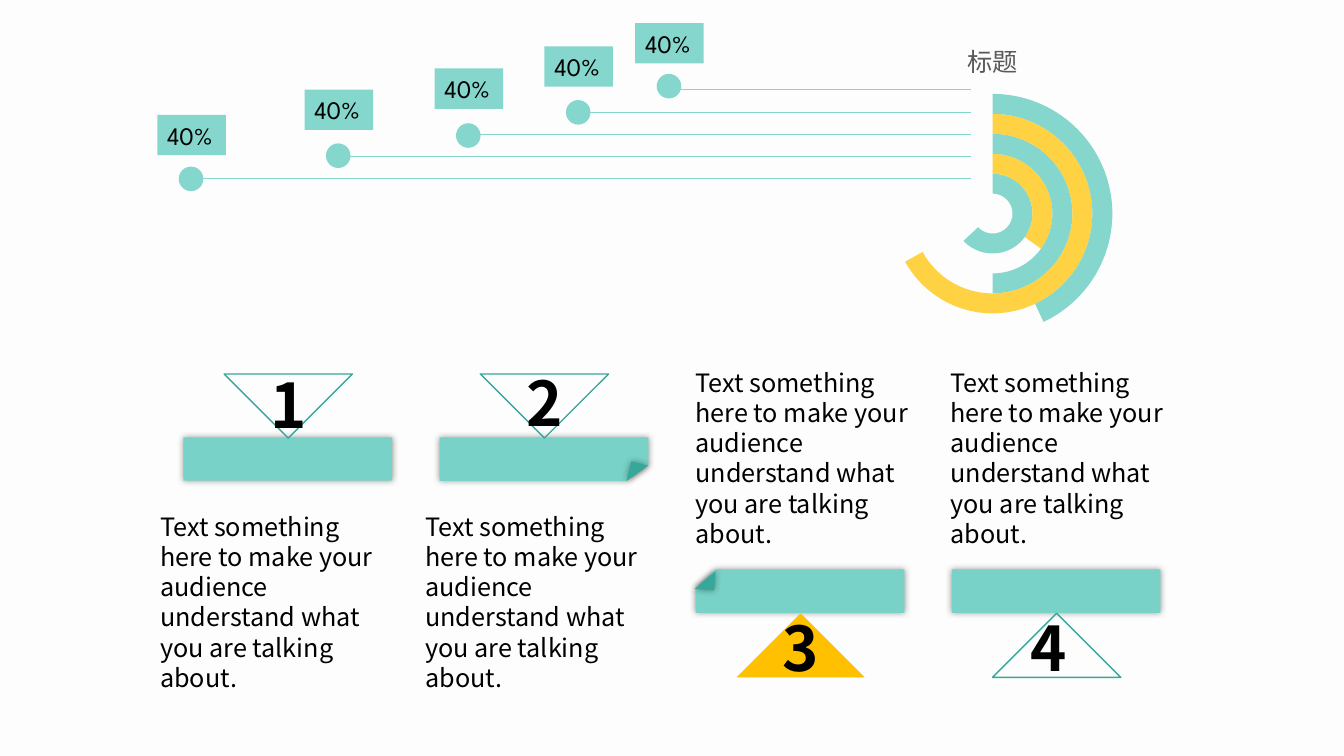
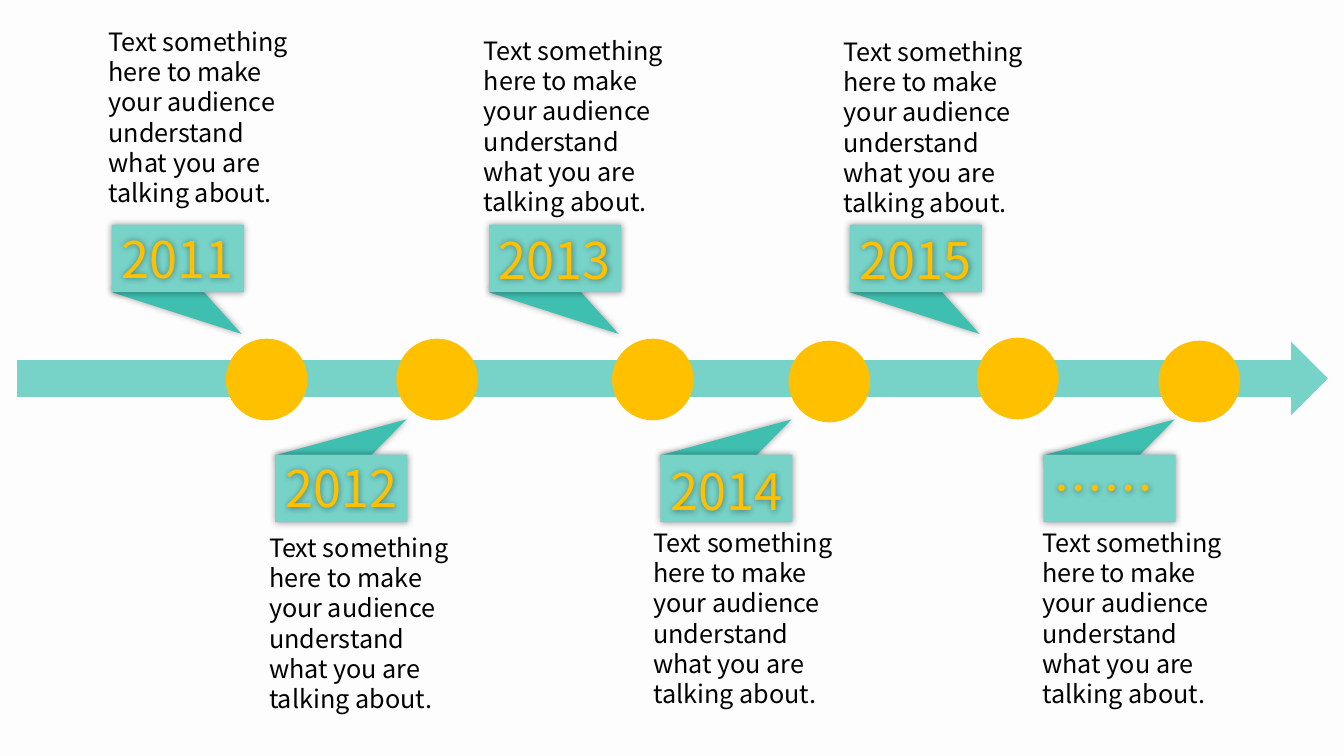
from dataclasses import dataclass

from lxml import etree
from pptx import Presentation
from pptx.chart.data import CategoryChartData
from pptx.dml.color import RGBColor
from pptx.enum.chart import XL_CHART_TYPE
from pptx.enum.shapes import MSO_CONNECTOR, MSO_SHAPE
from pptx.enum.text import MSO_AUTO_SIZE
from pptx.oxml import parse_xml
from pptx.oxml.ns import nsdecls, qn
from pptx.util import Inches, Pt

RECTANGLE = MSO_SHAPE.RECTANGLE
ELLIPSE = MSO_SHAPE.OVAL
RIGHT_ARROW = MSO_SHAPE.RIGHT_ARROW
RIGHT_TRIANGLE = MSO_SHAPE.RIGHT_TRIANGLE
TRIANGLE = MSO_SHAPE.ISOSCELES_TRIANGLE
STRAIGHT = MSO_CONNECTOR.STRAIGHT
DOUGHNUT = XL_CHART_TYPE.DOUGHNUT
FIT_TEXT = MSO_AUTO_SIZE.SHAPE_TO_FIT_TEXT


@dataclass(frozen=True)
class Theme:
    """Colours, fonts and type sizes of the presentation."""
    background: str = "FDFDFD"
    black: str = "000000"
    grey: str = "595959"
    panel: str = "78D2C7"
    fold: str = "37A79A"
    ring: str = "85D7CD"
    ring_accent: str = "FFD243"
    timeline: str = "77D3C8"
    pointer: str = "3FBFB0"
    accent: str = "FFC000"
    text_font: str = "Noto Sans CJK SC"
    label_font: str = "League Spartan"
    chart_font: str = "Calibri"
    body_size: int = 18
    year_size: int = 36
    number_size: int = 44
    chart_size: int = 10
    line_height: float = 1.2


THEME = Theme()
BODY = "Text something here to make your audience understand what you are talking about."


def rgb(value):
    """Turn a hex string into a colour."""
    return RGBColor.from_string(value)


def style_font(font, size, color, name, bold=False):
    """Set the format of a font."""
    font.color.rgb = rgb(color)
    for attribute, value in {"size": Pt(size), "name": name, "bold": bold}.items():
        setattr(font, attribute, value)


def style_shape(shape, fill=None, line=None, shadow=False):
    """Set fill, outline and shadow of a shape."""
    if fill:
        shape.fill.solid()
        shape.fill.fore_color.rgb = rgb(fill)
    else:
        shape.fill.background()
    if line:
        shape.line.color.rgb = rgb(line)
        shape.line.width = Pt(1)
    else:
        shape.line.fill.background()
    shape.shadow.inherit = False
    if shadow:
        effects = shape._element.spPr.find(qn("a:effectLst"))
        effects.append(parse_xml(
            f'<a:outerShdw {nsdecls("a")} blurRad="63500" dist="0" dir="0" algn="ctr" '
            f'rotWithShape="0"><a:srgbClr val="{THEME.black}"><a:alpha val="40000"/>'
            '</a:srgbClr></a:outerShdw>'))


def add_shape(slide, kind, box, rotation=0, **style):
    """Add a preset shape in a box given in inches."""
    shape = slide.shapes.add_shape(kind, *map(Inches, box))
    shape.rotation = rotation
    style_shape(shape, **style)
    return shape


def add_text(slide, box, text, size=THEME.body_size, color=THEME.black,
             name=THEME.text_font, bold=False, wrap=True, **style):
    """Add a text box that grows with its text."""
    shape = slide.shapes.add_textbox(*map(Inches, box))
    style_shape(shape, **style)
    frame = shape.text_frame
    for attribute, value in {"word_wrap": wrap, "auto_size": FIT_TEXT}.items():
        setattr(frame, attribute, value)
    paragraph = frame.paragraphs[0]
    paragraph.line_spacing = Pt(size * THEME.line_height)
    run = paragraph.add_run()
    run.text = text
    style_font(run.font, size, color, name, bold)
    etree.SubElement(run._r.get_or_add_rPr(), qn("a:ea"), typeface=name)


def add_line(slide, start, end, y):
    """Add a thin horizontal leader line."""
    connector = slide.shapes.add_connector(
        STRAIGHT, Inches(start), Inches(y), Inches(end), Inches(y))
    connector.line.color.rgb = rgb(THEME.ring)
    connector.line.width = Pt(0.5)
    etree.SubElement(connector._element.spPr, qn("a:effectLst"))


def set_layout(element, target="", **fractions):
    """Place a chart part by fractions of the chart area."""
    for old in element.findall(qn("c:layout")):
        element.remove(old)
    modes = "".join(f'<c:{axis}Mode val="edge"/>' for axis in "xy")
    values = "".join(f'<c:{key} val="{value}"/>' for key, value in fractions.items())
    layout = parse_xml(f'<c:layout {nsdecls("c")}><c:manualLayout>{target}{modes}{values}'
                       '</c:manualLayout></c:layout>')
    text = element.find(qn("c:tx"))
    element.insert(0 if text is None else 1, layout)


def add_rings(slide, box):
    """Add the chart of five partial rings."""
    data = CategoryChartData()
    data.categories = ["1", "2"]
    for number, share in enumerate((63, 35, 50, 67, 43), 1):
        data.add_series(f"Series {number}", (share, 100 - share))
    chart = slide.shapes.add_chart(DOUGHNUT, *map(Inches, box), data).chart
    style_font(chart.font, THEME.chart_size, THEME.black, THEME.chart_font)
    chart.has_legend = False
    chart.has_title = True
    title = chart.chart_title
    title.text_frame.text = "标题"
    run = title.text_frame.paragraphs[0].runs[0]
    style_font(run.font, THEME.body_size, THEME.grey, THEME.text_font)
    etree.SubElement(run._r.get_or_add_rPr(), qn("a:ea"), typeface=THEME.text_font)
    set_layout(title._element, x=0.44, y=0.06)
    plot = chart.plots[0]
    plot.vary_by_categories = False
    plot._element.find(qn("c:holeSize")).set("val", "18")
    set_layout(chart._chartSpace.chart.plotArea, '<c:layoutTarget val="inner"/>',
               x=0.26, y=0.24, w=0.48, h=0.72)
    for index, series in enumerate(plot.series):
        shown, hidden = series.points[0].format, series.points[1].format
        shown.fill.solid()
        shown.fill.fore_color.rgb = rgb(THEME.ring_accent if index % 2 else THEME.ring)
        hidden.fill.background()
        for point_format in (shown, hidden):
            point_format.line.fill.background()


def add_leaders(slide, end, bottom):
    """Add the labelled dots and the lines that run to the rings."""
    size = 0.23
    dots = ((1.78, 1.66, 1.14), (3.24, 1.43, 0.89), (4.53, 1.23, 0.68),
            (5.62, 1, 0.46), (6.52, 0.74, 0.23))
    for index, (left, top, label_top) in enumerate(dots):
        add_line(slide, left + size, end, bottom - 0.22 * index)
        add_shape(slide, ELLIPSE, (left, top, size, size), fill=THEME.ring, line=THEME.ring)
        add_text(slide, (left - 0.22, label_top, 0.68, 0.4), "40%",
                 name=THEME.label_font, wrap=False, fill=THEME.ring)


def add_bar(slide, left, top, outline):
    """Add a bar whose outline is given relative to its corner."""
    points = [(Inches(left + x), Inches(top + y)) for x, y in outline]
    builder = slide.shapes.build_freeform(*points[0])
    builder.add_line_segments(points[1:], close=True)
    style_shape(builder.convert_to_shape(), fill=THEME.panel, shadow=True)


def add_panel(slide, left, number, text_shift, number_shift, number_top):
    """Add a numbered bar with its triangle and text."""
    width, height = 2.07, 0.43
    upward = number > 2
    top = 5.65 if upward else 4.34
    corners = [(0, 0), (width, 0), (width, height), (0, height)]
    fold = None
    if number == 2:
        corners[2:3] = [(width, 0.28), (1.86, height)]
        fold = (left + 1.86, top + 0.27, 0.2, 0.17), 104.2
    elif number == 3:
        corners[:1] = [(0, 0.18), (0.2, 0)]
        fold = (left, top + 0.01, 0.19, 0.19), 274.8
    if fold:
        add_bar(slide, left, top, corners)
        add_shape(slide, RIGHT_TRIANGLE, *fold, fill=THEME.fold, shadow=True)
    else:
        add_shape(slide, RECTANGLE, (left, top, width, height), fill=THEME.panel, shadow=True)
    paint = {"fill": THEME.accent} if number == 3 else {"line": THEME.fold}
    add_shape(slide, RIGHT_TRIANGLE, (left + 0.59, top + (0.62 if upward else -1.08), 0.9, 0.9),
              135 if upward else 315, **paint)
    add_text(slide, (left + number_shift, number_top, 0.54, 0.84), str(number),
             size=THEME.number_size, bold=True, wrap=False)
    add_text(slide, (left + text_shift, top + (-2.06 if upward else 0.68), 2.55, 1.92), BODY)


def add_callout(slide, left, year, year_top, text_left, text_top, above):
    """Add a year flag that points at the timeline, and its text."""
    top = 2.23 if above else 4.51
    pointer_top, rotation = (top + 0.08, 122.9) if above else (top - 0.67, 59.6)
    add_shape(slide, TRIANGLE, (left + 0.39, pointer_top, 0.7, 1.3), rotation,
              fill=THEME.pointer, shadow=True)
    add_shape(slide, RECTANGLE, (left, top, 1.31, 0.67), fill=THEME.timeline, shadow=True)
    add_text(slide, (left, year_top, 1.4, 0.71), year, size=THEME.year_size,
             color=THEME.accent, shadow=True)
    add_text(slide, (text_left, text_top, 2.07, 1.92), BODY)


def build_panels_slide(slide):
    """Build the slide of rings and four numbered panels."""
    panels = ((-0.33, 0.76, 3.59), (-0.24, 0.76, 3.57), (-0.1, 0.76, 6), (-0.11, 0.68, 6))
    for index, panel in enumerate(panels):
        add_panel(slide, 1.82 + 2.54 * index, index + 1, *panel)
    add_rings(slide, (7.37, 0.14, 4.95, 3.3))
    add_leaders(slide, 9.63, 1.77)


def build_timeline_slide(slide):
    """Build the slide of the timeline."""
    add_shape(slide, RIGHT_ARROW, (0.17, 3.39, 13, 0.73), fill=THEME.timeline)
    callouts = ((1.11, "2011", 2.21, 0.98, 0.21), (2.73, "2012", 4.49, 2.57, 5.23),
                (4.85, "2013", 2.22, 4.7, 0.3), (6.55, "2014", 4.52, 6.38, 5.18),
                (8.43, "2015", 2.22, 8.27, 0.31), (10.35, "……", 4.49, 10.24, 5.18))
    for index, callout in enumerate(callouts):
        add_callout(slide, *callout, above=index % 2 == 0)
    milestones = ((2.24, 3.36), (3.93, 3.36), (6.07, 3.36),
                  (7.82, 3.38), (9.69, 3.35), (11.49, 3.38))
    for left, top in milestones:
        add_shape(slide, ELLIPSE, (left, top, 0.81, 0.81), fill=THEME.accent)


def main():
    """Build and save the presentation."""
    presentation = Presentation()
    presentation.slide_width = Inches(13.33)
    presentation.slide_height = Inches(7.5)
    background = presentation.slide_master.background.fill
    background.solid()
    background.fore_color.rgb = rgb(THEME.background)
    for build in (build_panels_slide, build_timeline_slide):
        build(presentation.slides.add_slide(presentation.slide_layouts[6]))
    presentation.save("out.pptx")


main()
